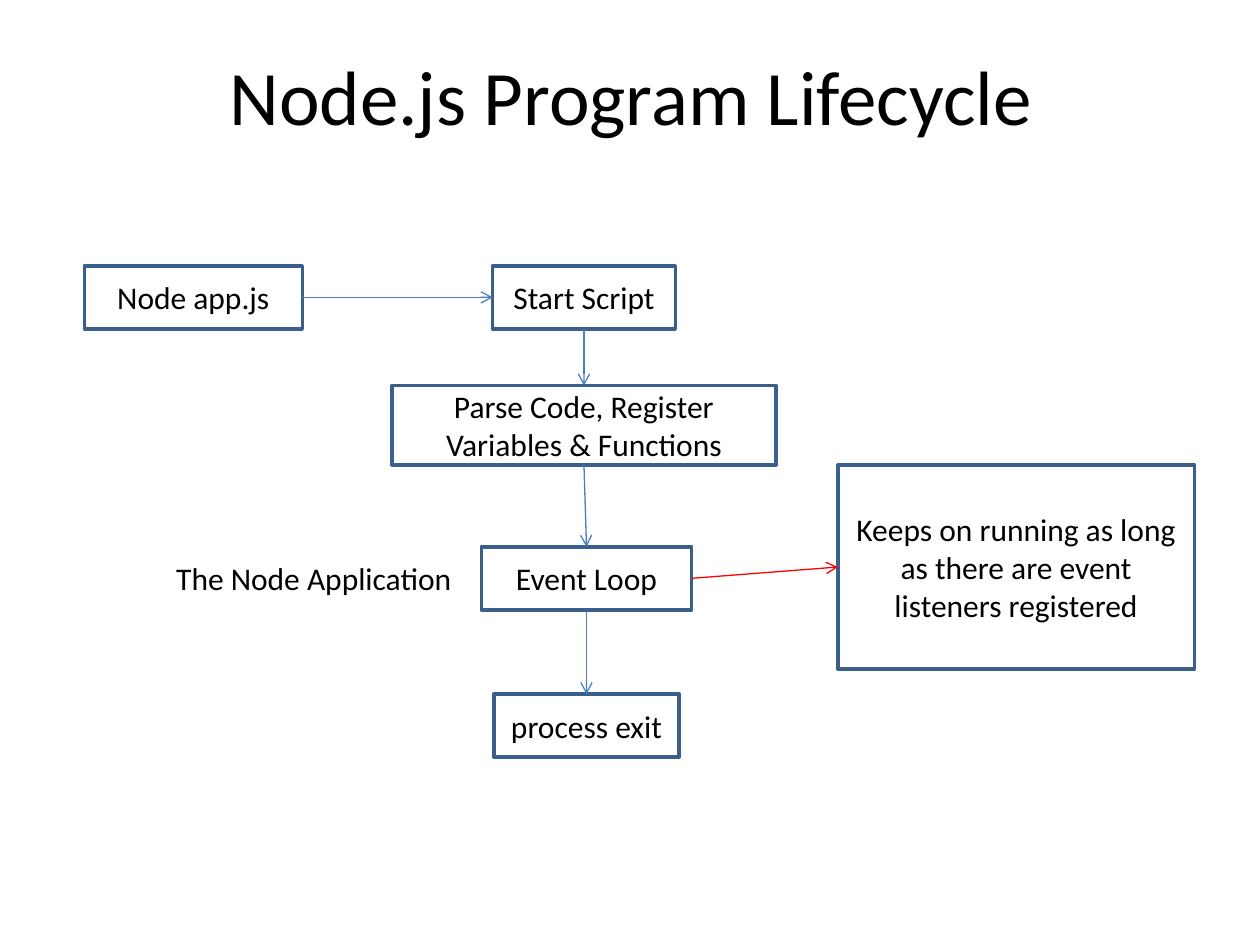
from lxml import etree
from pptx import Presentation
from pptx.dml.color import RGBColor
from pptx.enum.shapes import MSO_CONNECTOR, MSO_SHAPE
from pptx.enum.text import MSO_ANCHOR, PP_ALIGN
from pptx.oxml.ns import qn
from pptx.util import Inches, Pt

RECTANGLE = MSO_SHAPE.RECTANGLE
STRAIGHT = MSO_CONNECTOR.STRAIGHT
CENTER, LEFT = PP_ALIGN.CENTER, PP_ALIGN.LEFT
MIDDLE, TOP_ANCHOR = MSO_ANCHOR.MIDDLE, MSO_ANCHOR.TOP
TOP_SIDE, LEFT_SIDE, BOTTOM_SIDE, RIGHT_SIDE = range(4)

FONT = "Calibri"
COLORS = {
    "text": "000000",
    "fill": "FFFFFF",
    "border": "3A5F8C",
    "arrow": "4B7EBC",
    "highlight": "FF0000",
}

STEPS = {
    "start": ("Start Script", 3.24, 0, 1.45, 0.5),
    "parse": ("Parse Code, Register\nVariables & Functions", 2.44, 0.95, 3.05, 0.63),
    "loop": ("Event Loop", 3.15, 2.23, 1.67, 0.5),
    "exit": ("process exit", 3.25, 3.4, 1.47, 0.5),
    "running": ("Keeps on running as long as there are event listeners registered",
                5.98, 1.58, 2.83, 1.62),
    "app": ("Node app.js", 0, 0, 1.73, 0.5),
}
ARROWS = [
    ("app", RIGHT_SIDE, "start", LEFT_SIDE, "arrow"),
    ("start", BOTTOM_SIDE, "parse", TOP_SIDE, "arrow"),
    ("parse", BOTTOM_SIDE, "loop", TOP_SIDE, "arrow"),
    ("loop", BOTTOM_SIDE, "exit", TOP_SIDE, "arrow"),
    ("loop", RIGHT_SIDE, "running", LEFT_SIDE, "highlight"),
]


def color(name):
    """Return the named palette color."""
    return RGBColor.from_string(COLORS[name])


def write_text(shape, text, size=18, align=CENTER, anchor=MIDDLE, wrap=True):
    """Write formatted text into a shape, one paragraph per line."""
    frame = shape.text_frame
    frame.text = text
    frame.word_wrap = wrap
    frame.vertical_anchor = anchor
    for paragraph in frame.paragraphs:
        paragraph.alignment = align
        paragraph.font.size = Pt(size)
        paragraph.font.name = FONT
        paragraph.font.color.rgb = color("text")


def add_title(slide, left, top, width, height):
    """Place the slide title in the given box."""
    title = slide.shapes.title
    title.left, title.top = Inches(left), Inches(top)
    title.width, title.height = Inches(width), Inches(height)
    write_text(title, "Node.js Program Lifecycle", size=44)


def add_step(slide, text, left, top, width, height):
    """Add one outlined step of the lifecycle."""
    step = slide.shapes.add_shape(
        RECTANGLE, Inches(left), Inches(top), Inches(width), Inches(height))
    step.shadow.inherit = False
    step.fill.solid()
    step.fill.fore_color.rgb = color("fill")
    step.line.color.rgb = color("border")
    step.line.width = Pt(2)
    write_text(step, text)
    return step


def add_arrow(slide, source, source_side, target, target_side, color_name):
    """Connect two steps with an arrow."""
    arrow = slide.shapes.add_connector(STRAIGHT, 0, 0, 0, 0)
    arrow.begin_connect(source, source_side)
    arrow.end_connect(target, target_side)
    arrow.line.color.rgb = color(color_name)
    arrow.line.width = Pt(0.75)
    etree.SubElement(arrow.line._get_or_add_ln(), qn("a:tailEnd"), type="arrow")
    etree.SubElement(arrow._element.spPr, qn("a:effectLst"))


def add_lifecycle(slide, left, top):
    """Draw the flowchart from its top left corner."""
    steps = {
        name: add_step(slide, text, left + x, top + y, width, height)
        for name, (text, x, y, width, height) in STEPS.items()
    }
    for source, source_side, target, target_side, color_name in ARROWS:
        add_arrow(slide, steps[source], source_side,
                  steps[target], target_side, color_name)
    label = slide.shapes.add_textbox(
        Inches(left + 0.63), Inches(top + 2.28), Inches(2.42), Inches(0.4))
    write_text(label, "The Node Application", align=LEFT, anchor=TOP_ANCHOR, wrap=False)


def main():
    """Build and save the presentation."""
    presentation = Presentation()
    presentation.slide_width, presentation.slide_height = Inches(10), Inches(7.5)
    slide = presentation.slides.add_slide(presentation.slide_layouts[5])
    add_title(slide, 0.51, 0.13, 9, 1.25)
    add_lifecycle(slide, 0.67, 2.11)
    presentation.save("out.pptx")


if __name__ == "__main__":
    main()
